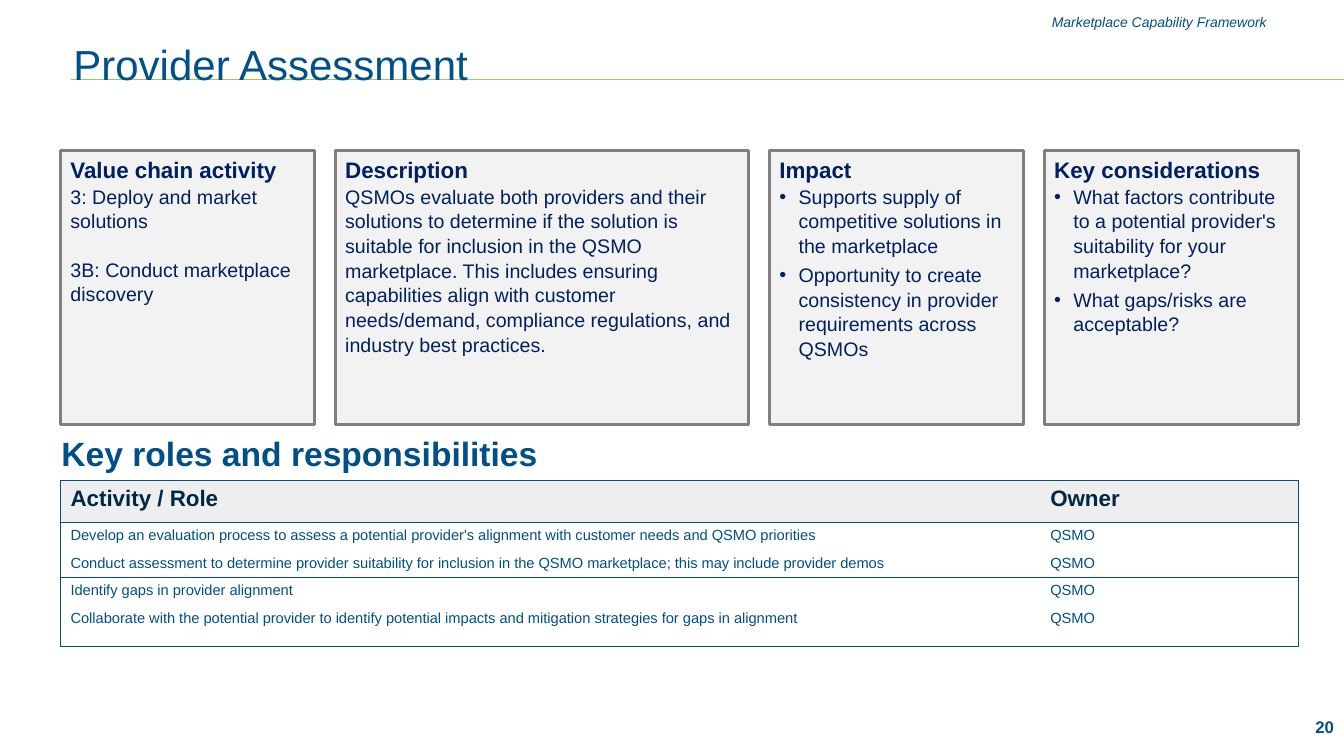
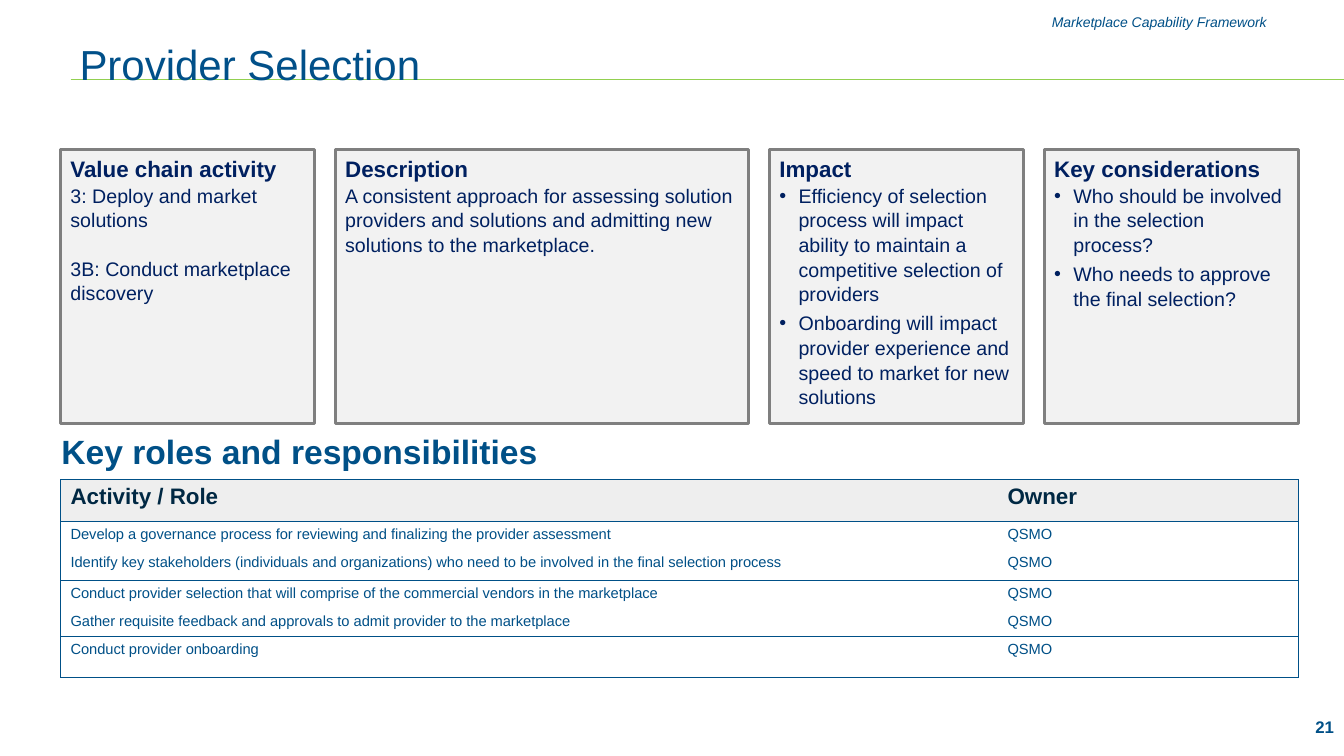
import dataclasses

import lxml.etree
import pptx
import pptx.dml.color
import pptx.enum.shapes
import pptx.enum.text
import pptx.oxml.ns
import pptx.util

WIDTH, HEIGHT = pptx.util.Inches(13.33), pptx.util.Inches(7.5)
FONT = "Arial"
BLUE, TITLE_BLUE, NAVY, INK = "005087", "015089", "002060", "002843"
GREEN, GREY, CARD_FILL, HEAD_FILL = "92D050", "7F7F7F", "F2F2F2", "EEEEEE"
CARD_WIDTHS = (18.9, 30.76, 18.9, 18.9)
ANCHOR = pptx.enum.text.MSO_ANCHOR
ALIGN = pptx.enum.text.PP_ALIGN
STAGE = ["3: Deploy and market solutions", "3B: Conduct marketplace discovery"]


@dataclasses.dataclass
class Box:
    """A region in percent of the slide's width and height."""
    left: float
    top: float
    width: float
    height: float

    def lengths(self):
        """Return left, top, width and height as slide lengths."""
        return (across(self.left), down(self.top), across(self.width), down(self.height))


def across(percent):
    """Turn a percentage of the slide width into a length."""
    return round(WIDTH * percent / 100)


def down(percent):
    """Turn a percentage of the slide height into a length."""
    return round(HEIGHT * percent / 100)


def color(value):
    """Return the colour of a hex string."""
    return pptx.dml.color.RGBColor.from_string(value)


def add_element(parent, tag, **attributes):
    """Append a drawing element to a parent and return it."""
    return lxml.etree.SubElement(parent, pptx.oxml.ns.qn(tag), attributes)


def style(para, size, hue, bold=False, italic=False):
    """Set the font of a paragraph."""
    font = para.font
    font.name, font.size = FONT, pptx.util.Pt(size)
    font.bold, font.italic = bold, italic
    font.color.rgb = color(hue)


def add_label(page, box, text, size, hue, align=ALIGN.LEFT, anchor=ANCHOR.TOP,
              bold=False, italic=False):
    """Add a one-paragraph text box and return its frame."""
    frame = page.shapes.add_textbox(*box.lengths()).text_frame
    frame.word_wrap, frame.vertical_anchor = True, anchor
    para = frame.paragraphs[0]
    para.text, para.alignment = text, align
    style(para, size, hue, bold, italic)
    return frame


def add_frame(page, title, title_left, number):
    """Add the rule, running header, title and page number."""
    rule = page.shapes.add_connector(pptx.enum.shapes.MSO_CONNECTOR.STRAIGHT,
                                     across(5.25), down(10.53), WIDTH, down(10.53))
    rule.line.color.rgb = color(GREEN)
    rule.line.width = pptx.util.Pt(0.75)
    add_element(rule._element.spPr, "a:effectLst")
    add_label(page, Box(66.24, 1.07, 28.73, 3.73), "Marketplace Capability Framework",
              10, BLUE, ALIGN.RIGHT, ANCHOR.MIDDLE, italic=True)
    add_label(page, Box(title_left, 2.13, 89.72, 12.53), title, 30, TITLE_BLUE,
              anchor=ANCHOR.MIDDLE)
    frame = add_label(page, Box(94, 91.2, 6, 7.6), str(number), 12, BLUE,
                      ALIGN.RIGHT, ANCHOR.BOTTOM, bold=True)
    frame.margin_top = frame.margin_bottom = pptx.util.Inches(0.1)


def add_bullet(para):
    """Give a paragraph a hanging round bullet."""
    indent = pptx.util.Inches(0.19)
    properties = para._p.get_or_add_pPr()
    properties.set("marL", str(indent))
    properties.set("indent", str(-indent))
    add_element(add_element(properties, "a:buClr"), "a:srgbClr", val=NAVY)
    add_element(properties, "a:buFont", typeface=FONT)
    add_element(properties, "a:buChar", char="•")


def add_card(page, box, heading, items, bulleted):
    """Add a bordered card with a heading and its paragraphs."""
    card = page.shapes.add_shape(pptx.enum.shapes.MSO_SHAPE.RECTANGLE, *box.lengths())
    card.shadow.inherit = False
    card.fill.solid()
    card.fill.fore_color.rgb = color(CARD_FILL)
    card.line.color.rgb = color(GREY)
    card.line.width = pptx.util.Pt(2)
    frame = card.text_frame
    frame.word_wrap, frame.vertical_anchor = True, ANCHOR.TOP
    for index, text in enumerate([heading, *items]):
        para = frame.paragraphs[0] if index == 0 else frame.add_paragraph()
        para.text, para.alignment, para.line_spacing = text, ALIGN.LEFT, 1.05
        if index > 1:
            para.space_before = pptx.util.Pt(3 if bulleted else 16.9)
        if index and bulleted:
            add_bullet(para)
        style(para, 14 if index else 16, NAVY, bold=index == 0)


def add_cards(page, box, description, impacts, considerations):
    """Spread the four cards evenly over a box."""
    cards = [("Value chain activity", STAGE, False), ("Description", [description], False),
             ("Impact", impacts, True), ("Key considerations", considerations, True)]
    gap = (box.width - sum(CARD_WIDTHS)) / (len(cards) - 1)
    left = box.left
    for width, card in zip(CARD_WIDTHS, cards):
        add_card(page, Box(left, box.top, width, box.height), *card)
        left += width + gap


def set_borders(cell, sides):
    """Draw the named sides of a cell and clear the others."""
    properties = cell._tc.get_or_add_tcPr()
    for side in "LRTB":
        line = add_element(properties, f"a:ln{side}", w=str(pptx.util.Pt(0.75)))
        if side in sides:
            add_element(add_element(line, "a:solidFill"), "a:srgbClr", val=BLUE)
        else:
            add_element(line, "a:noFill")


def add_roles(page, box, split, heights, activities):
    """Add the table of activities, ruled below the header and every second row."""
    rows = [("Activity / Role", "Owner")] + [(activity, "QSMO") for activity in activities]
    table = page.shapes.add_table(len(rows), 2, *box.lengths()).table
    table.first_row = table.horz_banding = False
    for column, share in zip(table.columns, (split, 100 - split)):
        column.width = across(box.width * share / 100)
    for index, (texts, height) in enumerate(zip(rows, heights)):
        table.rows[index].height = down(height)
        sides = "T" if index == 0 or index % 2 else ""
        if index % 2 == 0 or index == len(rows) - 1:
            sides += "B"
        for cell, text, outer in zip(table.rows[index].cells, texts, "LR"):
            set_borders(cell, sides + outer)
            para = cell.text_frame.paragraphs[0]
            para.text = text
            if index == 0:
                cell.fill.solid()
                cell.fill.fore_color.rgb = color(HEAD_FILL)
                style(para, 16, INK, bold=True)
            else:
                cell.fill.background()
                style(para, 10.5, BLUE)


def add_capability(deck, number, title, title_left, top, cards, split, heights, activities):
    """Add one capability slide."""
    page = deck.slides.add_slide(deck.slide_layouts[6])
    add_frame(page, title, title_left, number)
    add_cards(page, Box(4.5, top, 92.1, 36.27), *cards)
    add_roles(page, Box(4.5, top + 43.73, 92.1, sum(heights)), split, heights, activities)
    add_label(page, Box(3.83, top + 36.67, 37.06, 6.67), "Key roles and responsibilities",
              24, BLUE, bold=True)


def main():
    """Build and save the deck."""
    deck = pptx.Presentation()
    deck.slide_width, deck.slide_height = WIDTH, HEIGHT
    add_capability(
        deck, 20, "Provider Assessment", 4.73, 19.87,
        ("QSMOs evaluate both providers and their solutions to determine if the solution is "
         "suitable for inclusion in the QSMO marketplace. This includes ensuring capabilities "
         "align with customer needs/demand, compliance regulations, and industry best practices.",
         ["Supports supply of competitive solutions in the marketplace",
          "Opportunity to create consistency in provider requirements across QSMOs"],
         ["What factors contribute to a potential provider's suitability for your marketplace?",
          "What gaps/risks are acceptable?"]),
        79.15, (5.47, 3.6, 3.6, 3.6, 5.47),
        ["Develop an evaluation process to assess a potential provider's alignment with "
         "customer needs and QSMO priorities",
         "Conduct assessment to determine provider suitability for inclusion in the QSMO "
         "marketplace; this may include provider demos",
         "Identify gaps in provider alignment",
         "Collaborate with the potential provider to identify potential impacts and "
         "mitigation strategies for gaps in alignment"])
    add_capability(
        deck, 21, "Provider Selection", 5.18, 19.73,
        ("A consistent approach for assessing solution providers and solutions and admitting "
         "new solutions to the marketplace.",
         ["Efficiency of selection process will impact ability to maintain a competitive "
          "selection of providers",
          "Onboarding will impact provider experience and speed to market for new solutions"],
         ["Who should be involved in the selection process?",
          "Who needs to approve the final selection?"]),
        75.7, (5.47, 3.5, 4.13, 3.73, 3.73, 5.47),
        ["Develop a governance process for reviewing and finalizing the provider assessment",
         "Identify key stakeholders (individuals and organizations) who need to be involved "
         "in the final selection process",
         "Conduct provider selection that will comprise of the commercial vendors in the "
         "marketplace",
         "Gather requisite feedback and approvals to admit provider to the marketplace",
         "Conduct provider onboarding"])
    deck.save("out.pptx")


if __name__ == "__main__":
    main()
